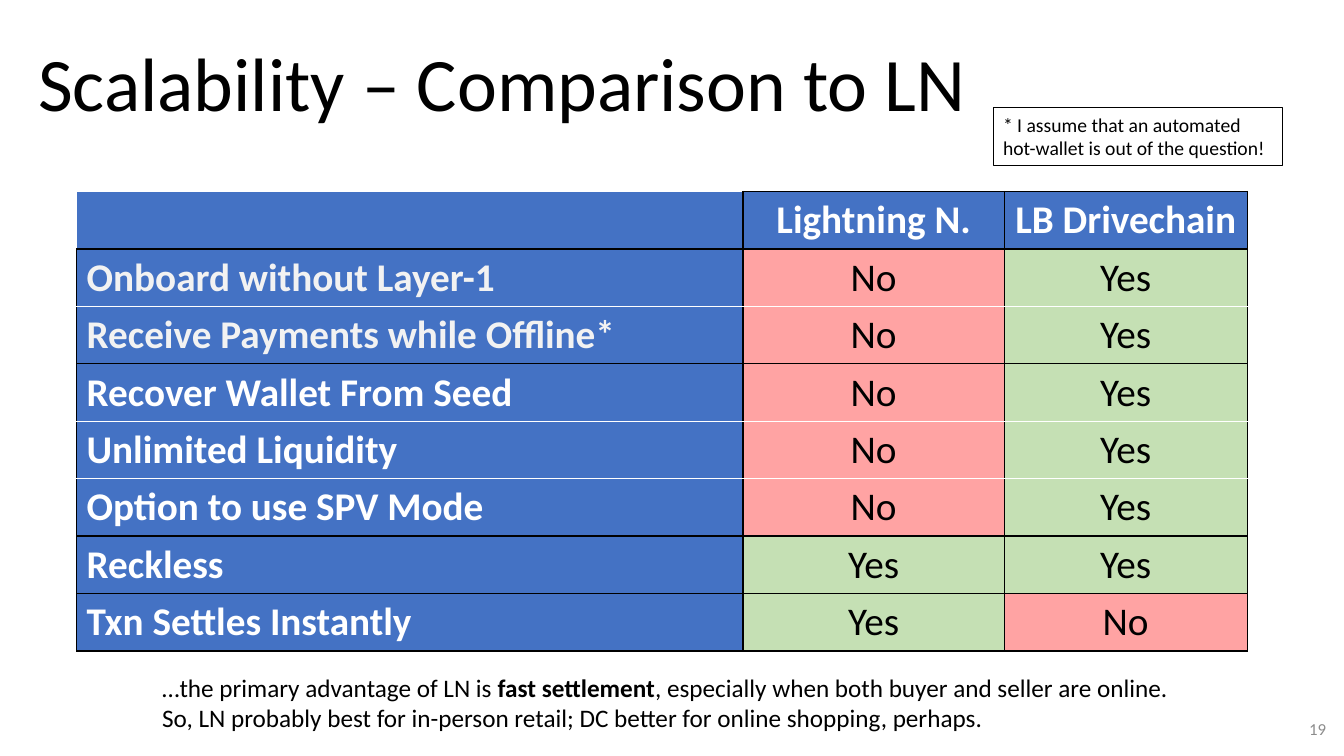
from lxml import etree
from pptx import Presentation
from pptx.dml.color import RGBColor
from pptx.enum.shapes import MSO_SHAPE
from pptx.enum.text import MSO_ANCHOR, PP_ALIGN
from pptx.oxml.ns import qn
from pptx.util import Inches, Pt

RECTANGLE = MSO_SHAPE.RECTANGLE
TOP, MIDDLE = MSO_ANCHOR.TOP, MSO_ANCHOR.MIDDLE
LEFT, CENTER, RIGHT = PP_ALIGN.LEFT, PP_ALIGN.CENTER, PP_ALIGN.RIGHT

BLACK = RGBColor(0x00, 0x00, 0x00)
WHITE = RGBColor(0xFF, 0xFF, 0xFF)
OFF_WHITE = RGBColor(0xF2, 0xF2, 0xF2)
GRAY = RGBColor(0x8C, 0x8C, 0x8C)
BLUE = RGBColor(0x44, 0x72, 0xC4)
RED = RGBColor(0xFF, 0x50, 0x50)
GREEN = RGBColor(0xC5, 0xE0, 0xB4)

HEADERS = ["", "Lightning N.", "LB Drivechain"]
FEATURES = [
    ("Onboard without Layer-1", "No", "Yes"),
    ("Receive Payments while Offline*", "No", "Yes"),
    ("Recover Wallet From Seed", "No", "Yes"),
    ("Unlimited Liquidity", "No", "Yes"),
    ("Option to use SPV Mode", "No", "Yes"),
    ("Reckless", "Yes", "Yes"),
    ("Txn Settles Instantly", "Yes", "No"),
]
COLUMN_WIDTHS = [6.61, 2.59, 2.41]
ROW_HEIGHT = 0.57
OFF_WHITE_ROWS = {1, 2}
WHITE_RULE_BELOW = {1, 3, 4}


class SlideBuilder:
    font_name = "Calibri"

    def __init__(self, slide):
        self.slide = slide

    def style(self, paragraph, size, color=BLACK, bold=None, align=LEFT):
        paragraph.alignment = align
        font = paragraph.font
        font.name, font.size, font.bold = self.font_name, Pt(size), bold
        font.color.rgb = color

    def fill_text(self, frame, runs, size, color=BLACK, align=LEFT, anchor=TOP):
        """Write (text, bold) runs into one paragraph."""
        frame.word_wrap = True
        frame.vertical_anchor = anchor
        paragraph = frame.paragraphs[0]
        self.style(paragraph, size, color, align=align)
        for text, bold in runs:
            run = paragraph.add_run()
            run.text = text
            if bold:
                run.font.bold = True
        return paragraph

    def text(self, box, runs, size, **look):
        textbox = self.slide.shapes.add_textbox(*map(Inches, box))
        return self.fill_text(textbox.text_frame, runs, size, **look)

    def framed_note(self, box, text, size):
        note = self.slide.shapes.add_shape(RECTANGLE, *map(Inches, box))
        note.shadow.inherit = False
        note.fill.background()
        note.line.color.rgb = BLACK
        note.line.width = Pt(0.75)
        self.fill_text(note.text_frame, [(text, False)], size)

    def borders(self, cell, colors):
        """Set left, right, top and bottom rules, which go ahead of the fill."""
        properties = cell._tc.get_or_add_tcPr()
        for index, (side, color) in enumerate(zip("LRTB", colors)):
            rule = etree.Element(qn(f"a:ln{side}"), w=str(Pt(1)))
            fill = etree.SubElement(rule, qn("a:solidFill"))
            etree.SubElement(fill, qn("a:srgbClr"), val=str(color))
            properties.insert(index, rule)

    def cell(self, cell, text, fill, color, bold, align, anchor):
        cell.text = text
        cell.vertical_anchor = anchor
        self.style(cell.text_frame.paragraphs[0], 28, color, bold, align)
        cell.fill.solid()
        cell.fill.fore_color.rgb = fill
        if fill == RED:
            tint = cell._tc.tcPr.find(qn("a:solidFill")).find(qn("a:srgbClr"))
            etree.SubElement(tint, qn("a:alpha"), val="52000")

    def comparison_table(self, left, top):
        rows = [HEADERS, *FEATURES]
        table = self.slide.shapes.add_table(
            len(rows), len(HEADERS), Inches(left), Inches(top),
            Inches(sum(COLUMN_WIDTHS)), Inches(ROW_HEIGHT * len(rows))).table
        for column, width in zip(table.columns, COLUMN_WIDTHS):
            column.width = Inches(width)
        for r, row in enumerate(rows):
            table.rows[r].height = Inches(ROW_HEIGHT)
            for c, text in enumerate(row):
                cell = table.cell(r, c)
                is_answer = r > 0 and c > 0
                if is_answer:
                    fill = GREEN if text == "Yes" else RED
                    color = BLACK
                else:
                    fill = BLUE
                    color = OFF_WHITE if r in OFF_WHITE_ROWS else WHITE
                self.cell(cell, text, fill, color, not is_answer,
                          CENTER if c else LEFT, MIDDLE if is_answer else TOP)
                is_corner = r == c == 0
                self.borders(cell, [
                    WHITE if is_corner else BLACK,
                    BLACK,
                    WHITE if is_corner or r - 1 in WHITE_RULE_BELOW else BLACK,
                    WHITE if r in WHITE_RULE_BELOW else BLACK,
                ])


def main():
    presentation = Presentation()
    presentation.slide_width = Inches(13.33)
    presentation.slide_height = Inches(7.5)
    builder = SlideBuilder(
        presentation.slides.add_slide(presentation.slide_layouts[6]))

    # Title
    title = builder.text((0.28, 0.18, 9.43, 1.36),
                         [("Scalability – Comparison to LN", False)], 54,
                         anchor=MIDDLE)
    title.line_spacing = 0.9

    # Comparison table
    builder.comparison_table(0.76, 1.9)

    # Conclusion below the table
    builder.text((1.51, 6.62, 10.31, 0.7), [
        ("…the primary advantage of LN is ", False),
        ("fast settlement", True),
        (", especially when both buyer and seller are online. So, LN probably "
         "best for in-person retail; DC better for online shopping, perhaps.",
         False),
    ], 18)

    # Footnote and slide number
    builder.framed_note(
        (9.85, 1.07, 2.87, 0.57),
        "* I assume that an automated hot-wallet is out of the question!", 14)
    builder.text((12.77, 7.03, 0.48, 0.4), [("19", False)], 12,
                 color=GRAY, align=RIGHT, anchor=MIDDLE)

    presentation.save("out.pptx")


if __name__ == "__main__":
    main()
